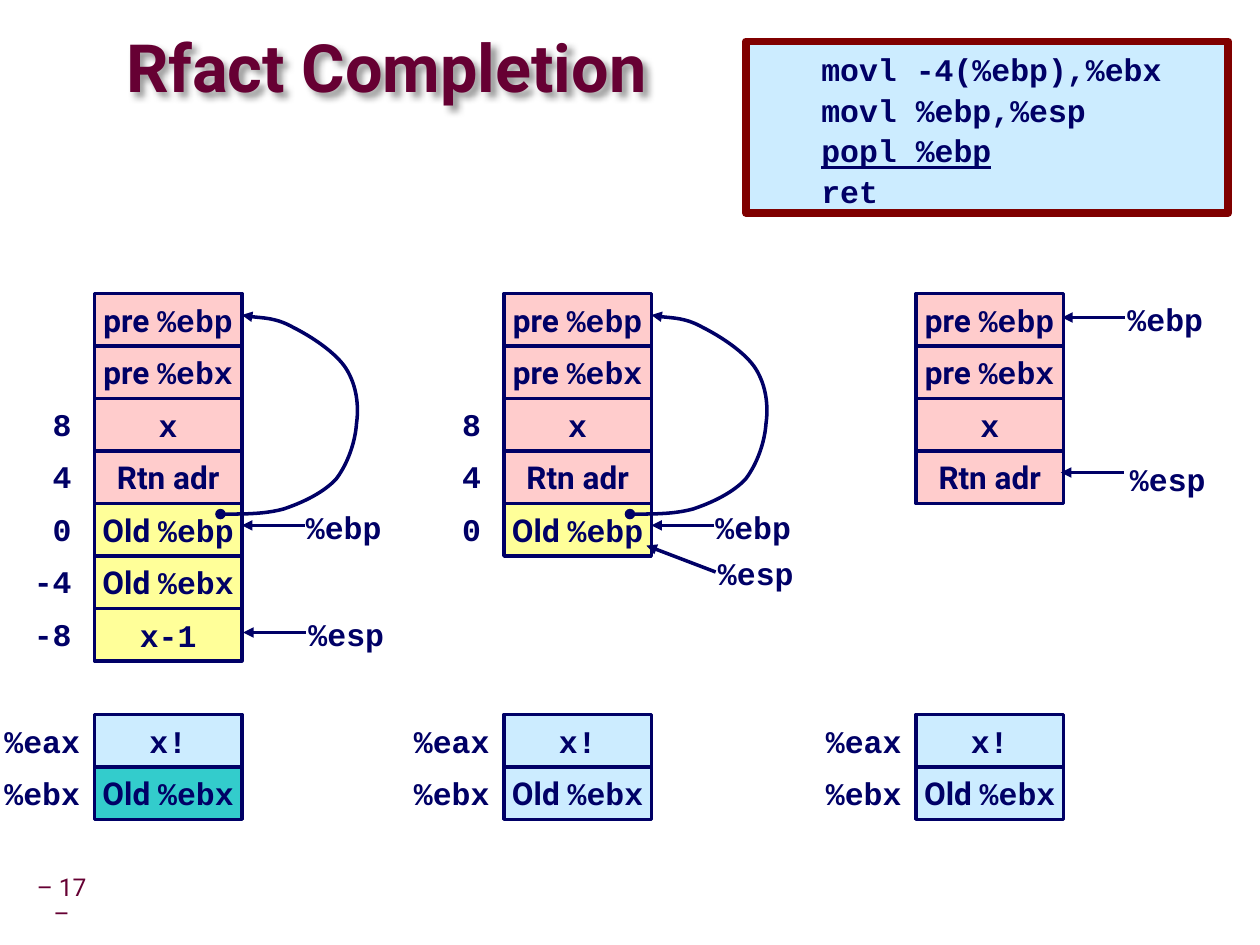
from lxml.etree import SubElement
from pptx import Presentation
from pptx.dml.color import RGBColor
from pptx.enum.shapes import MSO_CONNECTOR as Connector, MSO_SHAPE as Shape
from pptx.enum.text import MSO_ANCHOR as Anchor, PP_ALIGN as Align
from pptx.oxml.ns import qn
from pptx.util import Inches, Pt

COLORS = {"ink": "000066", "title": "660033", "caller": "FFCCCC", "frame": "FFFF99",
          "register": "CCECFF", "changed": "33CCCC", "border": "800000",
          "paper": "FFFFFF", "shade": "000000"}
PROSE, CODE = "Roboto", "Courier New"
ROW_TOP, ROW_HEIGHT, CELL_WIDTH = 2.33, 5 / 12, 1.17
REGISTER_TOP = 5.67

STACK = [("pre ", "%ebp", "caller", ""), ("pre ", "%ebx", "caller", ""),
         ("", "x", "caller", " 8"), ("Rtn adr", "", "caller", " 4"),
         ("Old ", "%ebp", "frame", " 0"), ("Old ", "%ebx", "frame", "-4"),
         ("", "x-1", "frame", "-8")]

LINK_CURVE = [(1, 4.08), (1.17, 4.08), (1.35, 4.08), (1.5, 4.04), (1.65, 3.99),
              (1.82, 3.91), (1.92, 3.8), (2.01, 3.68), (2.07, 3.51), (2.08, 3.36),
              (2.1, 3.22), (2.08, 3.06), (2, 2.93), (1.92, 2.8), (1.72, 2.67),
              (1.58, 2.6), (1.44, 2.52), (1.24, 2.52), (1.17, 2.5)]

FRAME_POINTER = ("%ebp", (1.58, 3.98), (1.67, 4.17), (1.17, 4.17))
STAGES = [
    {"left": 0.75, "rows": 7, "offsets": True, "linked": True, "ebx": "changed", "pointers": [
        FRAME_POINTER, ("%esp", (1.6, 4.83), (1.68, 5.02), (1.18, 5.02))]},
    {"left": 4, "rows": 5, "offsets": True, "linked": True, "ebx": "register", "pointers": [
        FRAME_POINTER, ("%esp", (1.6, 4.35), (1.68, 4.54), (1.13, 4.33))]},
    {"left": 7.27, "rows": 4, "offsets": False, "linked": False, "ebx": "register", "pointers": [
        ("%ebp", (1.58, 2.33), (1.66, 2.52), (1.16, 2.52)),
        ("%esp", (1.6, 3.6), (1.65, 3.75), (1.15, 3.75))]},
]
CODE_LINES = [("movl -4(%ebp),%ebx", False), ("movl %ebp,%esp", False),
              ("popl %ebp", True), ("ret", False)]


class StackSlide:
    """Draws styled stack diagram elements on the current slide."""

    def __init__(self, slide):
        self.slide = slide
        self.shapes = slide.shapes

    def color(self, name):
        return RGBColor.from_string(COLORS[name])

    def add_run(self, paragraph, text, font=CODE, size=18, color="ink", bold=True):
        run = paragraph.add_run()
        run.text = text
        run.font.name, run.font.size, run.font.bold = font, Pt(size), bold
        run.font.color.rgb = self.color(color)
        return run

    def line(self, line, color="ink", width=2):
        line.color.rgb = self.color(color)
        line.width = Pt(width)

    def arrowheads(self, shape, **ends):
        line = shape.line._get_or_add_ln()
        for end, kind in ends.items():
            SubElement(line, qn(f"a:{end}"), type=kind)

    def title(self, text):
        shape = self.slide.shapes.title
        shape.left, shape.top = Inches(1), Inches(0.25)
        shape.width, shape.height = Inches(6.14), Inches(0.63)
        frame = shape.text_frame
        frame.margin_left = frame.margin_top = frame.margin_right = frame.margin_bottom = 0
        frame.vertical_anchor = Anchor.MIDDLE
        paragraph = frame.paragraphs[0]
        paragraph.alignment, paragraph.line_spacing = Align.LEFT, 0.87
        self.add_run(paragraph, text, PROSE, 38, "title")
        effects = SubElement(shape._element.spPr, qn("a:effectLst"))
        shadow = SubElement(effects, qn("a:outerShdw"), blurRad=str(Pt(4)),
                            dist=str(Pt(4)), dir="2700000")
        shade = SubElement(shadow, qn("a:srgbClr"), val=COLORS["shade"])
        SubElement(shade, qn("a:alpha"), val="40000")

    def label(self, text, left, top, width):
        shape = self.shapes.add_textbox(Inches(left), Inches(top), Inches(width), Inches(0.4))
        shape.text_frame.word_wrap = False
        self.add_run(shape.text_frame.paragraphs[0], text)

    def rectangle(self, left, top, width, height, fill):
        shape = self.shapes.add_shape(Shape.RECTANGLE, Inches(left), Inches(top),
                                      Inches(width), Inches(height))
        shape.shadow.inherit = False
        shape.fill.solid()
        shape.fill.fore_color.rgb = self.color(fill)
        return shape

    def cell(self, prose, code, left, top, fill, width=CELL_WIDTH, outlined=True):
        shape = self.rectangle(left, top, width, ROW_HEIGHT, fill)
        if outlined:
            self.line(shape.line)
        else:
            shape.line.fill.background()
        frame = shape.text_frame
        frame.word_wrap, frame.vertical_anchor = False, Anchor.MIDDLE
        paragraph = frame.paragraphs[0]
        paragraph.alignment = Align.CENTER
        for text, font in ((prose, PROSE), (code, CODE)):
            if text:
                self.add_run(paragraph, text, font)

    def pointer(self, left, name, label, start, tip):
        connector = self.shapes.add_connector(
            Connector.STRAIGHT, Inches(left + start[0]), Inches(start[1]),
            Inches(left + tip[0]), Inches(tip[1]))
        self.line(connector.line)
        self.arrowheads(connector, tailEnd="triangle")
        SubElement(connector._element.spPr, qn("a:effectLst"))
        self.label(name, left + label[0], label[1], 0.8)

    def link(self, left):
        points = [(Inches(left + x), Inches(y)) for x, y in LINK_CURVE]
        builder = self.shapes.build_freeform(*points[0])
        builder.add_line_segments(points[1:], close=False)
        shape = builder.convert_to_shape()
        shape.shadow.inherit = False
        shape.fill.background()
        self.line(shape.line)
        self.arrowheads(shape, headEnd="oval", tailEnd="triangle")
        outline = shape._element.find(".//" + qn("a:path"))
        segments = outline.findall(qn("a:lnTo"))
        for first in range(0, len(segments), 3):
            curve = SubElement(outline, qn("a:cubicBezTo"))
            for segment in segments[first:first + 3]:
                curve.append(segment[0])
                outline.remove(segment)

    def code_box(self, lines):
        shape = self.rectangle(5.92, 0.33, 3.83, 1.36, "register")
        self.line(shape.line, "border", 4.5)
        frame = shape.text_frame
        frame.word_wrap, frame.vertical_anchor = True, Anchor.TOP
        for index, (text, underlined) in enumerate(lines):
            paragraph = frame.add_paragraph() if index else frame.paragraphs[0]
            paragraph.alignment, paragraph.line_spacing = Align.LEFT, 1.07
            tabs = SubElement(paragraph._p.get_or_add_pPr(), qn("a:tabLst"))
            SubElement(tabs, qn("a:tab"), pos=str(Inches(0.5)), algn="l")
            self.add_run(paragraph, "\t")
            self.add_run(paragraph, text).font.underline = underlined

    def page_number(self, text):
        shape = self.shapes.add_textbox(Inches(0.16), Inches(7), Inches(0.66), Inches(0.31))
        frame = shape.text_frame
        frame.margin_left = frame.margin_right = Inches(0.05)
        frame.word_wrap, frame.vertical_anchor = True, Anchor.MIDDLE
        paragraph = frame.paragraphs[0]
        paragraph.alignment, paragraph.line_spacing = Align.CENTER, 0.9
        self.add_run(paragraph, text, PROSE, 14, "title", False)

    def stage(self, left, rows, offsets, linked, ebx, pointers):
        self.shapes = self.slide.shapes.add_group_shape().shapes
        for row, (prose, code, fill, offset) in enumerate(STACK[:rows]):
            top = ROW_TOP + row * ROW_HEIGHT
            self.cell(prose, code, left, top, fill)
            if offsets and offset:
                self.label(offset, left - 0.58, top, 0.65)
        registers = [("%eax", "", "x!", "register"), ("%ebx", "Old ", "%ebx", ebx)]
        for row, (name, prose, code, fill) in enumerate(registers):
            top = REGISTER_TOP + row * ROW_HEIGHT
            self.cell("", name, left - 0.75, top, "paper", 0.67, False)
            self.cell(prose, code, left, top, fill)
        for pointer in pointers:
            self.pointer(left, *pointer)
        if linked:
            self.link(left)
        self.shapes = self.slide.shapes


def main():
    presentation = Presentation()
    presentation.slide_width, presentation.slide_height = Inches(10), Inches(7.5)
    slide = StackSlide(presentation.slides.add_slide(presentation.slide_layouts[5]))
    slide.page_number("– 17 –")
    slide.title("Rfact Completion")
    for stage in STAGES:
        slide.stage(**stage)
    slide.code_box(CODE_LINES)
    presentation.save("out.pptx")


if __name__ == "__main__":
    main()
